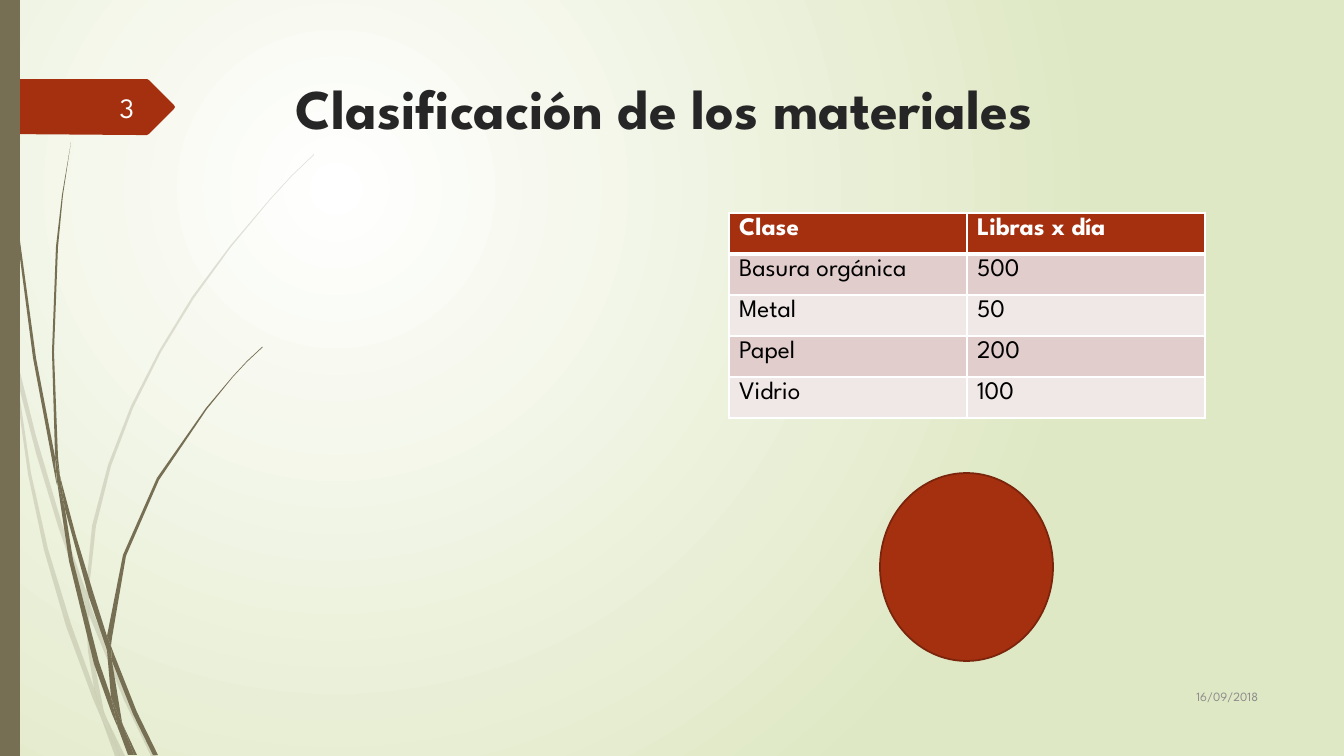
import pptx
import pptx.util
import pptx.dml.color
import pptx.enum.shapes
import pptx.enum.text
import pptx.oxml
import pptx.oxml.ns

RGBColor = pptx.dml.color.RGBColor
WHITE = RGBColor(0xFF, 0xFF, 0xFF)
BLACK = RGBColor(0, 0, 0)
OLIVE = RGBColor(0x76, 0x6F, 0x54)
GREEN = RGBColor(0xDF, 0xE8, 0xC4)
RUST = RGBColor(0xA5, 0x30, 0x10)
DARK_RUST = RGBColor(0x7A, 0x24, 0x0C)
ROSE = RGBColor(0xE1, 0xCD, 0xCC)
PALE_ROSE = RGBColor(0xF0, 0xE8, 0xE7)
INK = RGBColor(0x26, 0x26, 0x26)
GRAY = RGBColor(0x8C, 0x8C, 0x8C)
NUMBER_WHITE = RGBColor(0xFE, 0xFF, 0xFF)
FONT = "League Spartan"
SCALE = 914400 / 100.8
NS = pptx.oxml.ns.nsdecls("a")
MSO_SHAPE = pptx.enum.shapes.MSO_SHAPE
PP_ALIGN = pptx.enum.text.PP_ALIGN
MSO_ANCHOR = pptx.enum.text.MSO_ANCHOR


def px(*values):
    return [pptx.util.Emu(round(v * SCALE)) for v in values]


def write(tf, text, size=18, color=BLACK, bold=False, align=PP_ALIGN.LEFT,
          anchor=MSO_ANCHOR.TOP):
    tf.word_wrap = True
    tf.vertical_anchor = anchor
    p = tf.paragraphs[0]
    p.alignment = align
    r = p.add_run()
    r.text = text
    r.font.name = FONT
    r.font.size = pptx.util.Pt(size)
    r.font.bold = bold
    r.font.color.rgb = color


prs = pptx.Presentation()
prs.slide_width, prs.slide_height = px(1344, 756)
s = prs.slides.add_slide(prs.slide_layouts[6])

bg = s.background.fill
bg.gradient()
for stop, color, position in zip(bg.gradient_stops, (WHITE, GREEN), (0, 1)):
    stop.color.rgb = color
    stop.position = position
grad = s.element.find(".//" + pptx.oxml.ns.qn("a:gradFill"))
grad.remove(grad.find(pptx.oxml.ns.qn("a:lin")))
grad.append(pptx.oxml.parse_xml(
    f'<a:path {NS} path="circle"><a:fillToRect l="50000" t="50000" '
    'r="100000" b="100000"/></a:path>'))

pale_blades = [
    [(11, 353), (9, 325), (0, 284), (0, 301), (10, 347)],
    [(58, 526), (85, 604), (86, 591), (62, 524), (36, 436), (14, 348),
     (17, 379), (36, 453)],
    [(93, 612), (89, 601), (89, 615), (124, 700), (151, 756), (156, 756),
     (128, 698)],
    [(120, 756), (125, 756), (106, 717)],
    [(94, 688), (71, 624), (48, 549), (31, 473), (17, 379), (11, 353),
     (28, 474), (44, 550), (66, 626), (93, 699), (102, 720), (100, 713)],
    [(85, 604), (88, 651), (94, 688), (97, 698), (106, 717), (104, 712),
     (92, 651), (89, 615), (89, 613)],
    [(89, 589), (96, 526), (111, 466), (133, 408), (161, 352), (194, 298),
     (231, 247), (270, 200), (292, 176), (314, 155), (314, 154), (291, 176),
     (270, 199), (230, 246), (192, 297), (159, 351), (131, 406), (108, 465),
     (92, 526), (86, 589), (86, 591), (89, 601)],
    [(102, 720), (115, 756), (120, 756)],
    [(89, 613), (89, 615), (89, 601), (86, 591), (85, 604)],
    [(97, 698), (94, 688), (100, 713), (102, 720), (120, 756), (106, 717)],
]
dark_blades = [
    [(7, 111), (17, 235), (33, 358), (56, 481), (57, 485), (55, 461),
     (55, 457), (36, 358), (19, 234), (8, 110), (5, 48), (4, 0), (3, 0),
     (4, 48)],
    [(89, 597), (107, 650), (107, 638), (107, 636), (94, 595), (76, 536),
     (60, 476), (65, 509)],
    [(114, 654), (111, 646), (112, 661), (133, 714), (153, 755), (158, 755),
     (137, 712)],
    [(111, 697), (99, 662), (73, 560), (65, 509), (57, 481), (69, 561),
     (94, 664), (112, 714), (118, 728), (117, 723)],
    [(60, 476), (58, 457), (54, 352), (58, 247), (63, 195), (71, 142),
     (62, 195), (56, 247), (52, 352), (55, 453)],
    [(134, 755), (137, 755), (123, 725)],
    [(57, 481), (65, 509), (60, 476), (55, 453), (55, 457)],
    [(112, 638), (126, 556), (159, 480), (207, 409), (233, 377), (247, 362),
     (263, 347), (262, 347), (247, 361), (233, 376), (206, 408), (157, 478),
     (123, 555), (107, 636), (111, 646)],
    [(118, 728), (128, 755), (132, 755)],
    [(107, 650), (111, 697), (117, 712), (123, 725), (122, 722), (112, 661),
     (110, 656)],
    [(107, 650), (110, 656), (112, 661), (111, 646), (107, 636)],
    [(117, 712), (111, 697), (117, 723), (118, 728), (131, 755), (134, 755),
     (123, 725)],
]
number_tag = [(0, 79), (147, 79), (149, 80), (174, 105), (175, 107),
              (174, 109), (149, 134), (147, 135), (137, 135), (0, 134)]

outlines = [(b, OLIVE, 20) for b in pale_blades]
outlines += [(b, OLIVE, 100) for b in dark_blades]
outlines.append((number_tag, RUST, 100))
for points, color, opacity in outlines:
    builder = s.shapes.build_freeform(*points[0], scale=SCALE)
    builder.add_line_segments(points[1:], close=True)
    sp = builder.convert_to_shape()
    sp.shadow.inherit = False
    sp.fill.solid()
    sp.fill.fore_color.rgb = color
    sp.line.fill.background()
    if opacity < 100:
        clr = sp.element.spPr.find(".//" + pptx.oxml.ns.qn("a:srgbClr"))
        clr.append(pptx.oxml.parse_xml(
            f'<a:alpha {NS} val="{opacity * 1000}"/>'))

for kind, box, color, line in [
        (MSO_SHAPE.RECTANGLE, (0, 0, 20, 756), OLIVE, None),
        (MSO_SHAPE.OVAL, (880, 473, 173, 188), RUST, DARK_RUST)]:
    sp = s.shapes.add_shape(kind, *px(*box))
    sp.shadow.inherit = False
    sp.fill.solid()
    sp.fill.fore_color.rgb = color
    if line is None:
        sp.line.fill.background()
    else:
        sp.line.color.rgb = line
        sp.line.width = pptx.util.Pt(1.25)

side = dict(align=PP_ALIGN.RIGHT, anchor=MSO_ANCHOR.MIDDLE)
for box, text, style in [
        ((286, 69, 983, 141), "Clasificación de los materiales",
         dict(size=40, color=INK, bold=True)),
        ((1142, 676, 126, 41), "16/09/2018", dict(size=9, color=GRAY, **side)),
        ((58, 87, 86, 40), "3", dict(size=20, color=NUMBER_WHITE, **side))]:
    write(s.shapes.add_textbox(*px(*box)).text_frame, text, **style)

rows = [("Clase", "Libras x día"), ("Basura orgánica", "500"),
        ("Metal", "50"), ("Papel", "200"), ("Vidrio", "100")]
table = s.shapes.add_table(len(rows), 2, *px(729, 213, 476, 205)).table
for i, row in enumerate(rows):
    table.rows[i].height = px(41)[0]
    header = i == 0
    for j, text in enumerate(row):
        cell = table.cell(i, j)
        tcPr = cell._tc.get_or_add_tcPr()
        for edge in "LRTB":
            thick = (header and edge == "B") or (i == 1 and edge == "T")
            width = pptx.util.Pt(3 if thick else 1)
            tcPr.append(pptx.oxml.parse_xml(
                f'<a:ln{edge} {NS} w="{width}"><a:solidFill>'
                f'<a:srgbClr val="{WHITE}"/></a:solidFill></a:ln{edge}>'))
        cell.fill.solid()
        cell.fill.fore_color.rgb = RUST if header else (PALE_ROSE, ROSE)[i % 2]
        write(cell.text_frame, text, color=WHITE if header else BLACK,
              bold=header)

prs.save("out.pptx")
